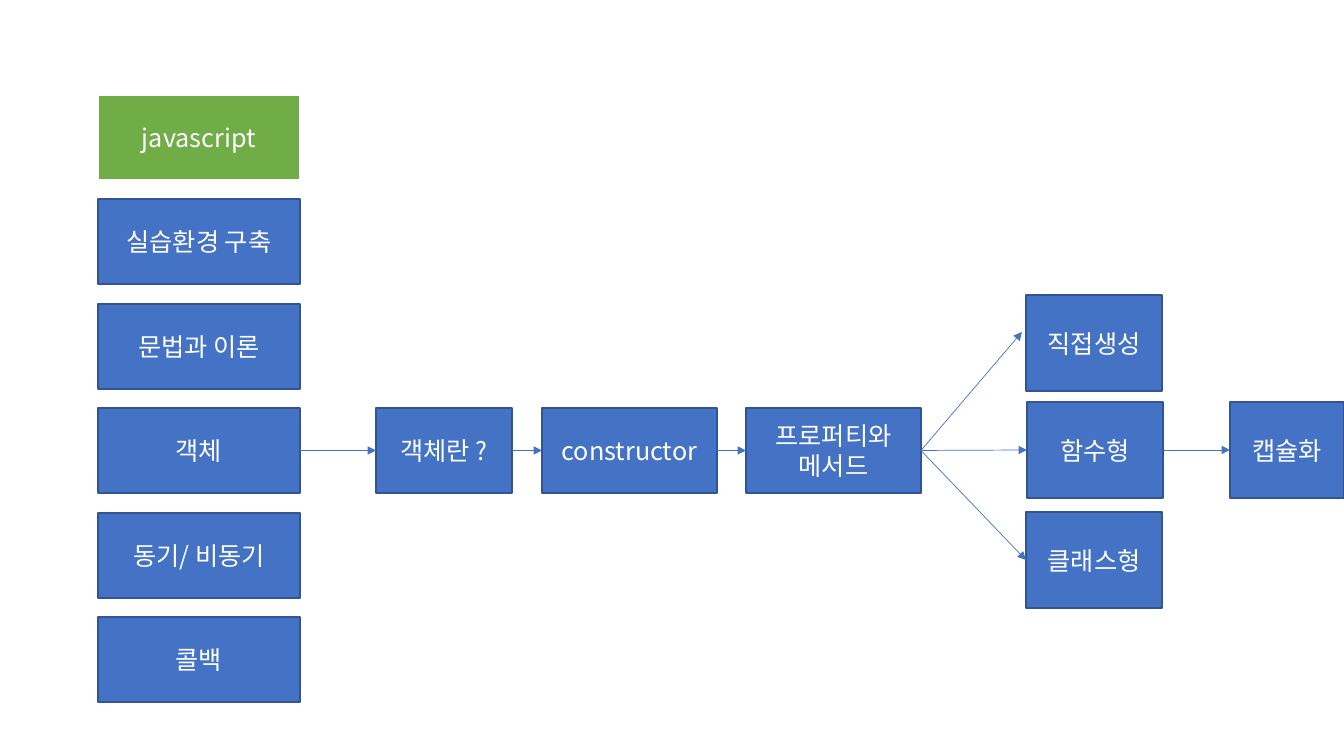
from dataclasses import dataclass

import pptx
import pptx.dml.color
import pptx.enum.shapes
import pptx.enum.text
import pptx.oxml
import pptx.oxml.ns
import pptx.util

SCALE = 914400 / 100.8
LEFT, RIGHT = 1, 3  # connection sites of a rectangle


@dataclass(frozen=True)
class Theme:
    """Colours, font and sizes of the slide."""
    blue: str = "4472C4"
    navy: str = "325491"
    green: str = "70AD47"
    white: str = "FFFFFF"
    font: str = "Noto Sans CJK KR"
    size: float = 18
    edge: float = 1
    arrow: float = 0.5


@dataclass(frozen=True)
class Box:
    """A labelled rectangle, in pixels."""
    text: str
    x: int
    y: int
    w: int
    h: int
    fill: str
    line: str


@dataclass(frozen=True)
class Link:
    """An arrow between two boxes, with a free end point if aim is given."""
    start: str
    end: str
    aim: tuple[int, int] | None = None


THEME = Theme()


def px(n: float) -> pptx.util.Emu:
    """Turn pixels into EMU."""
    return pptx.util.Emu(round(n * SCALE))


def rgb(code: str) -> pptx.dml.color.RGBColor:
    """Turn a hex code into a colour."""
    return pptx.dml.color.RGBColor.from_string(code)


def node(text: str, x: int, y: int, w: int, h: int) -> Box:
    """Describe a blue box."""
    return Box(text, x, y, w, h, THEME.blue, THEME.navy)


def add_xml(parent, tag: str, **attrs: str) -> None:
    """Append an empty drawing element to a parent."""
    item = pptx.oxml.parse_xml(f"<a:{tag} {pptx.oxml.ns.nsdecls('a')}/>")
    for key, value in attrs.items():
        item.set(key, value)
    parent.append(item)


def draw_box(slide, box: Box):
    """Draw a box with its centred label."""
    shape = slide.shapes.add_shape(
        pptx.enum.shapes.MSO_SHAPE.RECTANGLE,
        px(box.x), px(box.y), px(box.w), px(box.h))
    shape.shadow.inherit = False
    shape.fill.solid()
    shape.fill.fore_color.rgb = rgb(box.fill)
    shape.line.color.rgb = rgb(box.line)
    shape.line.width = pptx.util.Pt(THEME.edge)
    frame = shape.text_frame
    frame.word_wrap = True
    frame.vertical_anchor = pptx.enum.text.MSO_ANCHOR.MIDDLE
    frame.text = box.text
    para = frame.paragraphs[0]
    para.alignment = pptx.enum.text.PP_ALIGN.CENTER
    para.font.name = THEME.font
    para.font.size = pptx.util.Pt(THEME.size)
    para.font.color.rgb = rgb(THEME.white)
    props = para._p.pPr.find(pptx.oxml.ns.qn("a:defRPr"))
    add_xml(props, "ea", typeface=THEME.font)
    return shape


def draw_link(slide, link: Link, shapes: dict) -> None:
    """Draw an arrow from one box to the next."""
    x, y = link.aim or (0, 0)
    line = slide.shapes.add_connector(
        pptx.enum.shapes.MSO_CONNECTOR.STRAIGHT, 0, 0, px(x), px(y))
    line.begin_connect(shapes[link.start], RIGHT)
    if link.aim is None:
        line.end_connect(shapes[link.end], LEFT)
    line.line.color.rgb = rgb(THEME.blue)
    line.line.width = pptx.util.Pt(THEME.arrow)
    add_xml(line.line._get_or_add_ln(), "tailEnd", type="triangle")
    add_xml(line._element.spPr, "effectLst")


TOPICS = ["실습환경 구축", "문법과 이론", "객체", "동기/ 비동기", "콜백"]
TOP, PITCH, TALL = 95, 104.4, 85
ROW = 408

BOXES = [
    Box("javascript", 98, TOP, 202, TALL, THEME.green, THEME.white),
    *(node(text, 98, round(TOP + PITCH * i), 202, TALL)
      for i, text in enumerate(TOPICS, 1)),
    node("객체란 ?", 376, ROW, 136, TALL),
    node("constructor", 542, ROW, 175, TALL),
    node("프로퍼티와 메서드", 746, ROW, 175, TALL),
    node("직접생성", 1026, 295, 136, 96),
    node("함수형", 1027, 402, 136, 96),
    node("클래스형", 1026, 512, 136, 96),
    node("캡슐화", 1230, 402, 114, 96),
]

LINKS = [
    Link("객체", "객체란 ?"),
    Link("객체란 ?", "constructor"),
    Link("constructor", "프로퍼티와 메서드"),
    Link("프로퍼티와 메서드", "직접생성", (1022, 332)),
    Link("프로퍼티와 메서드", "함수형"),
    Link("프로퍼티와 메서드", "클래스형"),
    Link("함수형", "캡슐화"),
]


def main() -> None:
    """Build the slide and save it."""
    deck = pptx.Presentation()
    deck.slide_width, deck.slide_height = px(1344), px(756)
    slide = deck.slides.add_slide(deck.slide_layouts[6])
    shapes = {box.text: draw_box(slide, box) for box in BOXES}
    for link in LINKS:
        draw_link(slide, link, shapes)
    deck.save("out.pptx")


main()
